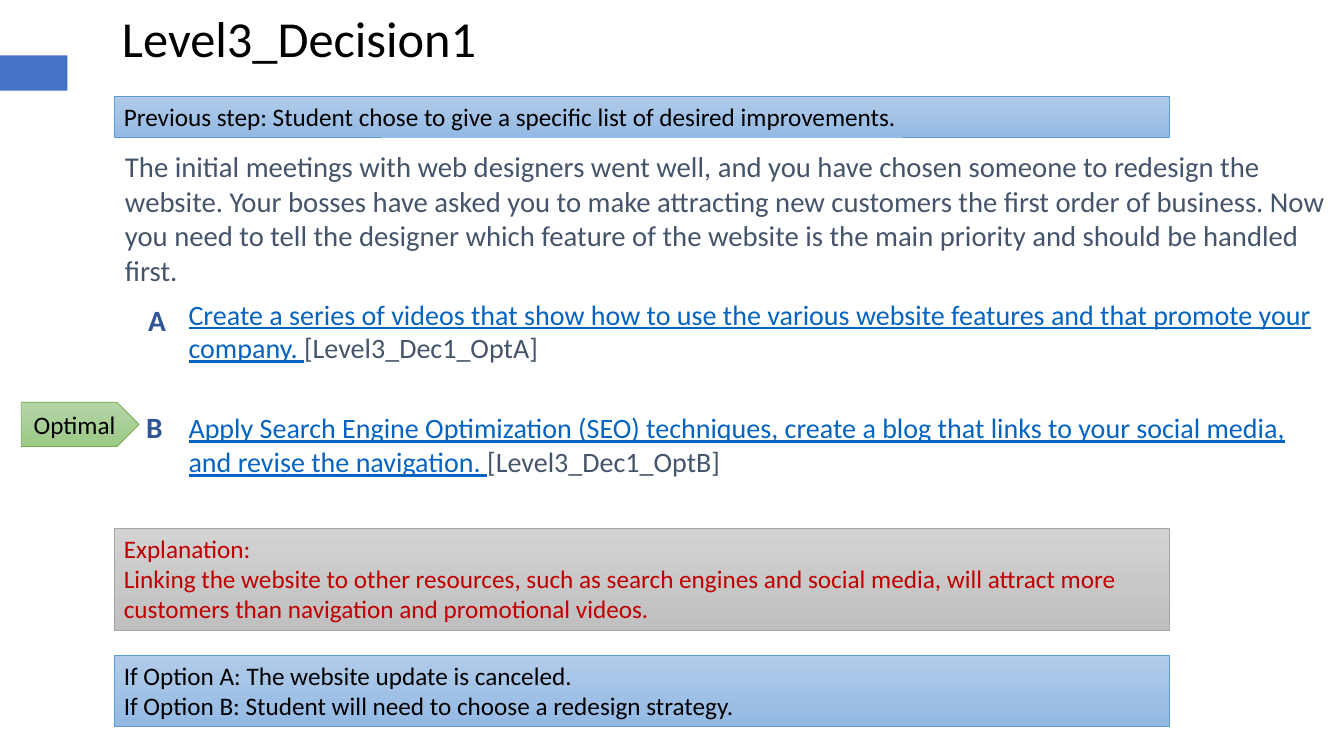
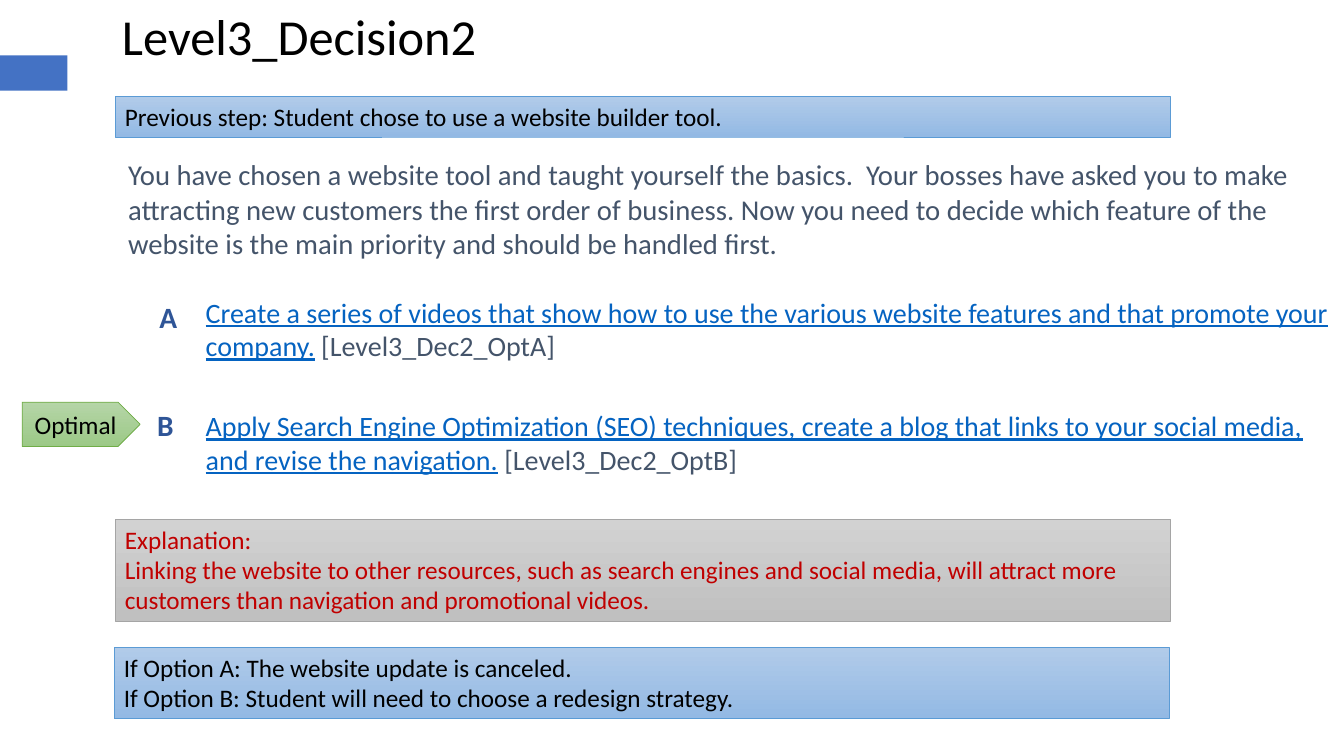
from pptx import Presentation
from pptx.dml.color import RGBColor
from pptx.enum.shapes import MSO_SHAPE
from pptx.enum.text import MSO_ANCHOR, MSO_AUTO_SIZE, PP_ALIGN
from pptx.util import Inches, Pt

FONT = "Calibri"
BLACK = RGBColor(0x00, 0x00, 0x00)
BAND = RGBColor(0x44, 0x72, 0xC4)
SLATE = RGBColor(0x44, 0x54, 0x6A)
LINK = RGBColor(0x05, 0x63, 0xC1)
LETTER = RGBColor(0x2F, 0x55, 0x97)
RED = RGBColor(0xC0, 0x00, 0x00)

# Box styles: gradient top, gradient bottom, outline
BLUE_BOX = (RGBColor(0xB1, 0xCB, 0xE9), RGBColor(0x93, 0xB9, 0xE4), RGBColor(0x5B, 0x9B, 0xD5))
GRAY_BOX = (RGBColor(0xD2, 0xD2, 0xD2), RGBColor(0xC0, 0xC0, 0xC0), RGBColor(0xA5, 0xA5, 0xA5))
GREEN_BOX = (RGBColor(0xB5, 0xD5, 0xA7), RGBColor(0x9C, 0xC9, 0x87), RGBColor(0x70, 0xAD, 0x47))

BOX_WIDTH = 10.47

# Text that both decisions share
OPTION_A = "Create a series of videos that show how to use the various website features and that promote your company."
OPTION_B = ("Apply Search Engine Optimization (SEO) techniques, create a blog that links to your social media, "
            "and revise the navigation.")
EXPLANATION = [
    "Explanation:",
    "Linking the website to other resources, such as search engines and social media, will attract more "
    "customers than navigation and promotional videos.",
]
OUTCOMES = [
    "If Option A: The website update is canceled.",
    "If Option B: Student will need to choose a redesign strategy.",
]


class Deck:
    """Holds the presentation, its style and the current slide."""

    def __init__(self):
        self.prs = Presentation()
        self.prs.slide_width = Inches(13.33)
        self.prs.slide_height = Inches(7.5)
        self.slide = None

    def new_slide(self, title, top):
        self.slide = self.prs.slides.add_slide(self.prs.slide_layouts[5])
        sp = self.slide.shapes.title
        sp.left, sp.top, sp.width, sp.height = (Inches(v) for v in (1.11, top, 3.72, 0.71))
        tf = sp.text_frame
        tf.word_wrap = False
        tf.auto_size = MSO_AUTO_SIZE.NONE
        tf.vertical_anchor = MSO_ANCHOR.TOP
        p = tf.paragraphs[0]
        p.alignment = PP_ALIGN.LEFT
        self.run(p, title, 36, BLACK)
        # Side band
        band = self.shape(MSO_SHAPE.RECTANGLE, 0, 0.55, 0.67, 0.35)
        band.fill.solid()
        band.fill.fore_color.rgb = BAND
        band.line.fill.background()

    def run(self, p, text, size, color, bold=False, underline=False):
        r = p.add_run()
        r.text = text
        r.font.name = FONT
        r.font.size = Pt(size)
        r.font.color.rgb = color
        r.font.bold = bold
        r.font.underline = underline

    def shape(self, kind, left, top, width, height):
        sp = self.slide.shapes.add_shape(kind, Inches(left), Inches(top), Inches(width), Inches(height))
        sp.shadow.inherit = False
        return sp

    def text_box(self, left, top, width, height):
        tf = self.slide.shapes.add_textbox(Inches(left), Inches(top), Inches(width), Inches(height)).text_frame
        tf.word_wrap = True
        tf.margin_left = tf.margin_right = Inches(0.13)
        tf.margin_top = tf.margin_bottom = Inches(0.07)
        return tf

    def text(self, text, left, top, width, height, size, color, bold=False):
        tf = self.text_box(left, top, width, height)
        self.run(tf.paragraphs[0], text, size, color, bold)

    def options(self, options, left, top, width):
        tf = self.text_box(left, top, width, 2.03)
        for i, (link, tag) in enumerate(options):
            p = tf.add_paragraph() if i else tf.paragraphs[0]
            if i:
                p.space_before = Pt(33)
            self.run(p, link, 20, LINK, underline=True)
            self.run(p, tag, 20, SLATE)

    def box(self, lines, style, left, top, width, height, color=BLACK, kind=MSO_SHAPE.RECTANGLE,
            align=PP_ALIGN.LEFT, anchor=MSO_ANCHOR.TOP):
        sp = self.shape(kind, left, top, width, height)
        sp.fill.gradient()
        sp.fill.gradient_angle = 270
        for stop, shade in zip(sp.fill.gradient_stops, style):
            stop.color.rgb = shade
        sp.line.color.rgb = style[2]
        sp.line.width = Pt(0.5)
        tf = sp.text_frame
        tf.word_wrap = True
        tf.vertical_anchor = anchor
        for i, line in enumerate(lines):
            p = tf.add_paragraph() if i else tf.paragraphs[0]
            p.alignment = align
            self.run(p, line, 18, color)

    def optimal_tag(self, left):
        self.box(["Optimal"], GREEN_BOX, left, 3.99, 1.17, 0.44, kind=MSO_SHAPE.PENTAGON,
                 align=PP_ALIGN.CENTER, anchor=MSO_ANCHOR.MIDDLE)


def main():
    deck = Deck()

    # First decision
    deck.new_slide("Level3_Decision1", 0.02)
    deck.text("The initial meetings with web designers went well, and you have chosen someone to redesign the "
              "website. Your bosses have asked you to make attracting new customers the first order of business. "
              "Now you need to tell the designer which feature of the website is the main priority and should be "
              "handled first.", 1.11, 1.41, 12.23, 2.45, 20.5, SLATE)
    deck.options([(OPTION_A + " ", "[Level3_Dec1_OptA]"), (OPTION_B + " ", "[Level3_Dec1_OptB]")],
                 1.74, 2.88, 11.48)
    deck.text("A", 1.34, 2.93, 0.68, 0.58, 21, LETTER, bold=True)
    deck.text("B", 1.32, 3.99, 0.7, 0.44, 21, LETTER, bold=True)
    deck.box(["Previous step: Student chose to give a specific list of desired improvements."],
             BLUE_BOX, 1.13, 0.96, BOX_WIDTH, 0.4)
    deck.box(EXPLANATION, GRAY_BOX, 1.13, 5.24, BOX_WIDTH, 1.01, RED)
    deck.box(OUTCOMES, BLUE_BOX, 1.13, 6.5, BOX_WIDTH, 0.71)
    deck.optimal_tag(0.21)

    # Second decision
    deck.new_slide("Level3_Decision2", 0)
    deck.text("You have chosen a website tool and taught yourself the basics.  Your bosses have asked you to make "
              "attracting new customers the first order of business. Now you need to decide which feature of the "
              "website is the main priority and should be handled first.", 1.14, 1.49, 12.19, 1.41, 20.5, SLATE)
    deck.options([(OPTION_A, " [Level3_Dec2_OptA]"), (OPTION_B, " [Level3_Dec2_OptB]")], 1.91, 2.86, 11.42)
    deck.text("A", 1.45, 2.9, 0.68, 0.58, 21, LETTER, bold=True)
    deck.text("B", 1.43, 3.97, 0.7, 0.44, 21, LETTER, bold=True)
    deck.box(["Previous step: Student chose to use a website builder tool."],
             BLUE_BOX, 1.14, 0.96, BOX_WIDTH, 0.4)
    deck.box(EXPLANATION, GRAY_BOX, 1.14, 5.15, BOX_WIDTH, 1.01, RED)
    deck.box(OUTCOMES, BLUE_BOX, 1.13, 6.42, BOX_WIDTH, 0.71)
    deck.optimal_tag(0.22)

    deck.prs.save("out.pptx")


if __name__ == "__main__":
    main()
